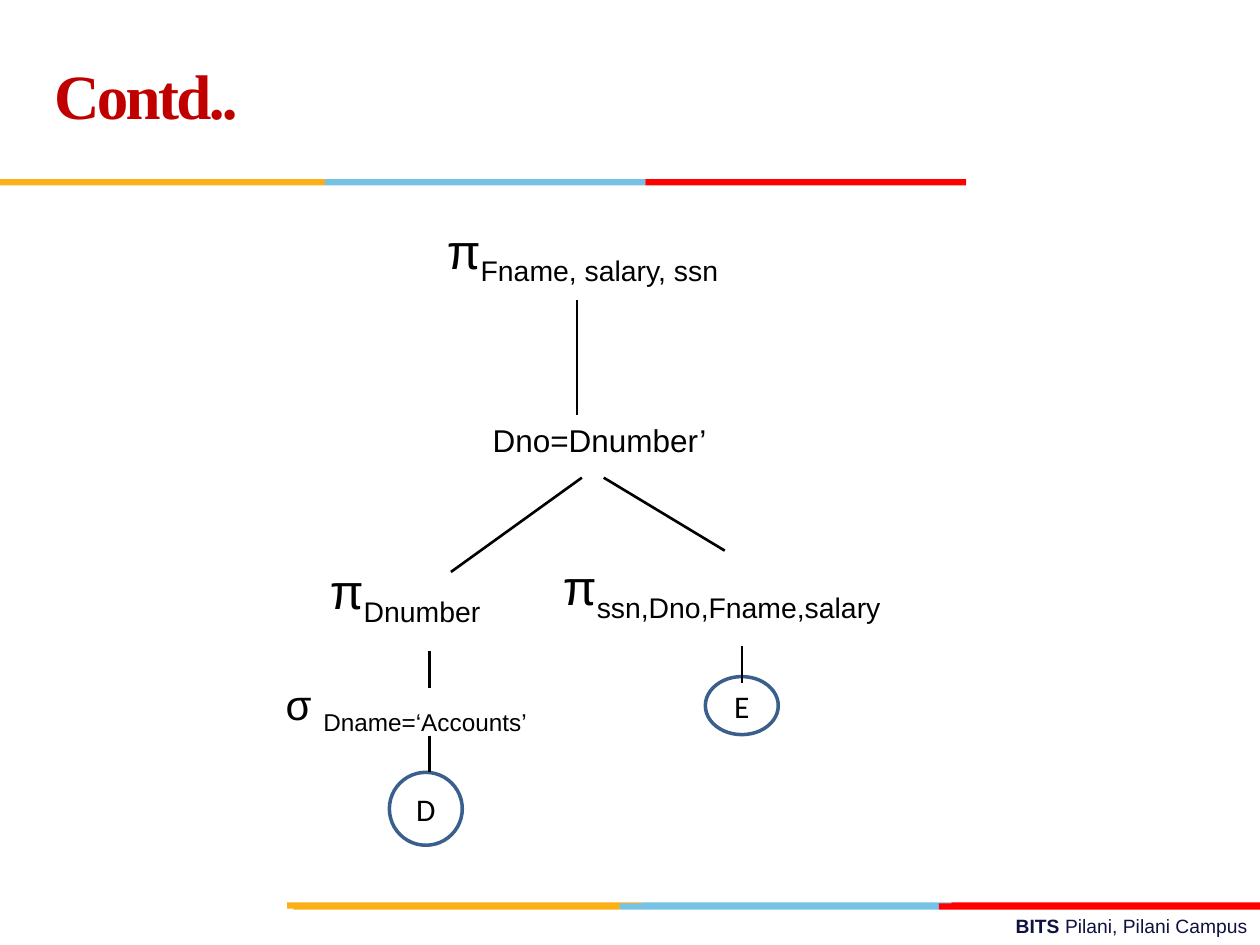
from lxml import etree
from pptx import Presentation
from pptx.dml.color import RGBColor
from pptx.enum.shapes import MSO_CONNECTOR, MSO_SHAPE
from pptx.enum.text import MSO_ANCHOR, PP_ALIGN
from pptx.oxml.ns import qn
from pptx.util import Cm, Pt

RECTANGLE = MSO_SHAPE.RECTANGLE
OVAL = MSO_SHAPE.OVAL
STRAIGHT = MSO_CONNECTOR.STRAIGHT
MIDDLE = MSO_ANCHOR.MIDDLE
CENTER = PP_ALIGN.CENTER
RIGHT = PP_ALIGN.RIGHT

BLACK, WHITE, NAVY = "000000", "FFFFFF", "101141"
YELLOW, BLUE, RED, DARK_RED = "FCB017", "76C2E5", "FF0000", "C00000"
OUTLINE = "3A5F8C"


def color(hex_string):
    return RGBColor.from_string(hex_string)


def set_font(font, name, size, hex_string):
    font.name = name
    font.size = Pt(size)
    font.color.rgb = color(hex_string)


def add_text_box(slide, left, top, width, height, wrap=True):
    box = slide.shapes.add_textbox(Cm(left), Cm(top), Cm(width), Cm(height))
    box.text_frame.word_wrap = wrap
    return box.text_frame


def add_shape(slide, kind, left, top, width, height, fill):
    shape = slide.shapes.add_shape(kind, Cm(left), Cm(top), Cm(width), Cm(height))
    shape.shadow.inherit = False
    shape.fill.solid()
    shape.fill.fore_color.rgb = color(fill)
    shape.line.fill.background()
    return shape


def add_band(slide, top, edges):
    """Three-coloured rule; edges are the four segment boundaries."""
    for start, end, fill in zip(edges, edges[1:], (YELLOW, BLUE, RED)):
        add_shape(slide, RECTANGLE, start, top, end - start, 0.13, fill)


def add_header(slide, left, top, width, height):
    frame = add_text_box(slide, left, top, width, height)
    frame.vertical_anchor = MIDDLE
    paragraph = frame.paragraphs[0]
    paragraph.line_spacing = Pt(36)
    run = paragraph.add_run()
    run.text = "Contd.."
    set_font(run.font, "Times New Roman", 36, DARK_RED)
    run.font.bold = True
    run.font._element.set("spc", "-150")
    add_band(slide, top + 3.18, (0, 6.55, 13.01, 19.48))


def add_footer(slide, left, top, width, height):
    # The rule is two slightly offset layers
    add_band(slide, top - 0.12, (5.79, 12.95, 19.18, 25.4))
    add_band(slide, top - 0.1, (5.92, 12.49, 18.93, 25.4))
    paragraph = add_text_box(slide, left, top, width, height).paragraphs[0]
    paragraph.alignment = RIGHT
    for text, bold in (("BITS ", True), ("Pilani, Pilani Campus", False)):
        run = paragraph.add_run()
        run.text = text
        run.font.bold = bold
    set_font(paragraph.font, "Arial", 11, NAVY)


def add_operator(slide, left, top, width, height, symbol, subscript, size):
    paragraph = add_text_box(slide, left, top, width, height, wrap=False).paragraphs[0]
    paragraph.add_run().text = symbol
    if subscript:
        run = paragraph.add_run()
        run.text = subscript
        run.font._element.set("baseline", "-25000")
    set_font(paragraph.font, "Arial", size, BLACK)


def add_relation(slide, left, top, width, height, name):
    shape = add_shape(slide, OVAL, left, top, width, height, WHITE)
    shape.line.color.rgb = color(OUTLINE)
    shape.line.width = Pt(2)
    shape.text_frame.vertical_anchor = MIDDLE
    paragraph = shape.text_frame.paragraphs[0]
    paragraph.alignment = CENTER
    paragraph.add_run().text = name
    set_font(paragraph.font, "Calibri", 18, BLACK)


def add_edge(slide, x1, y1, x2, y2):
    line = slide.shapes.add_connector(STRAIGHT, Cm(x1), Cm(y1), Cm(x2), Cm(y2))
    line.line.color.rgb = color(BLACK)
    line.line.width = Pt(1.5)
    etree.SubElement(line._element.spPr, qn("a:effectLst"))


def add_query_tree(slide, left, top):
    # Relations at the leaves
    for x, y, height, name in ((2.34, 11.25, 1.47, "D"), (8.71, 9.32, 1.17, "E")):
        add_relation(slide, left + x, top + y, 1.47, height, name)

    # Operators
    operators = (
        (3.25, 0, 6.76, 1.45, "π", "Fname, salary, ssn", 28),
        (4.17, 4.04, 4.88, 1.02, "Dno=Dnumber’", "", 18),
        (0.89, 6.86, 3.94, 1.45, "π", "Dnumber", 28),
        (5.59, 6.78, 7.85, 1.45, "π", "ssn,Dno,Fname,salary", 28),
        (0, 9.24, 6.32, 1.3, "σ ", "Dname=‘Accounts’", 24),
    )
    for x, y, *details in operators:
        add_operator(slide, left + x, top + y, *details)

    # Edges, from parent to child
    edges = (
        (6.12, 1.73, 6.12, 4.04),
        (6.22, 5.31, 3.58, 7.21),
        (6.66, 5.31, 9.1, 6.78),
        (3.15, 8.81, 3.15, 9.55),
        (3.15, 10.51, 3.15, 11.25),
        (9.45, 8.71, 9.45, 9.45),
    )
    for x1, y1, x2, y2 in edges:
        add_edge(slide, left + x1, top + y1, left + x2, top + y2)


def main():
    presentation = Presentation()
    presentation.slide_width = Cm(25.4)
    presentation.slide_height = Cm(19.05)
    slide = presentation.slides.add_slide(presentation.slide_layouts[6])
    add_footer(slide, 9.09, 18.31, 16.31, 0.74)
    add_header(slide, 0.84, 0.43, 17.58, 3.18)
    add_query_tree(slide, 5.51, 4.32)
    presentation.save("out.pptx")


if __name__ == "__main__":
    main()
